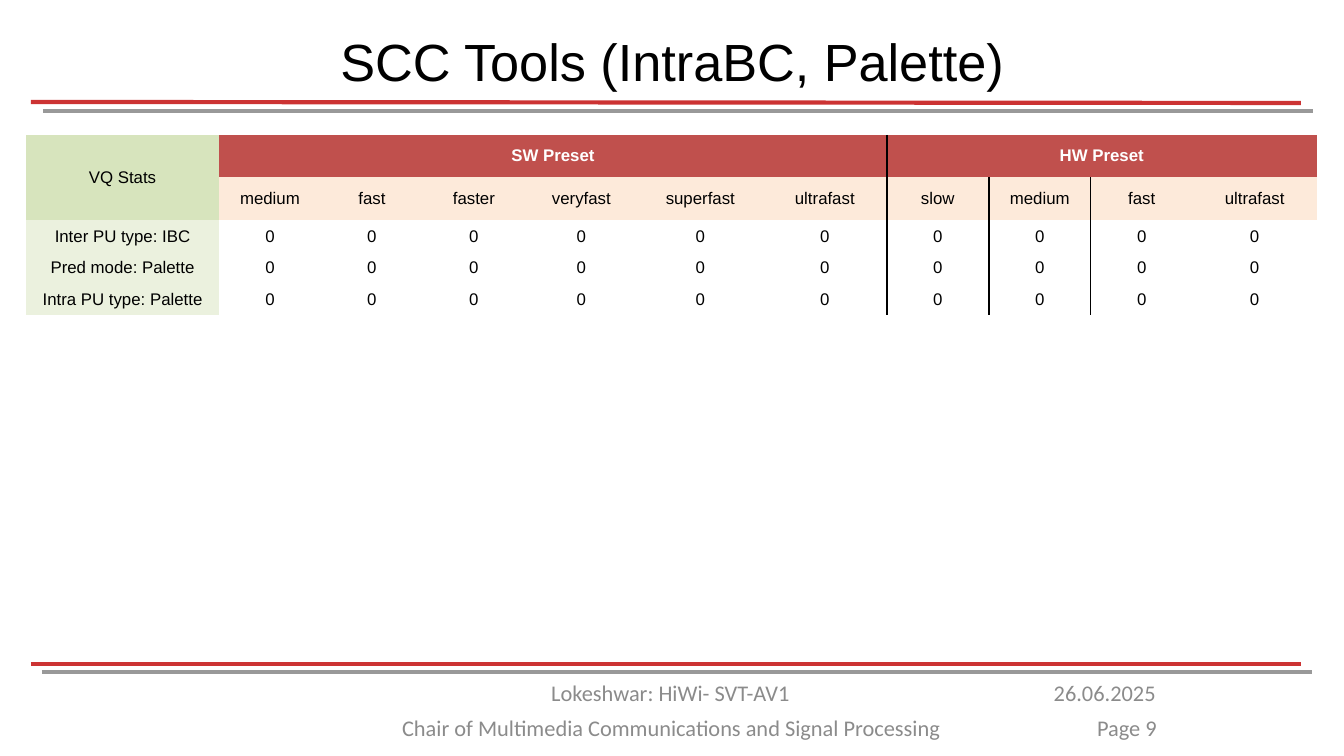
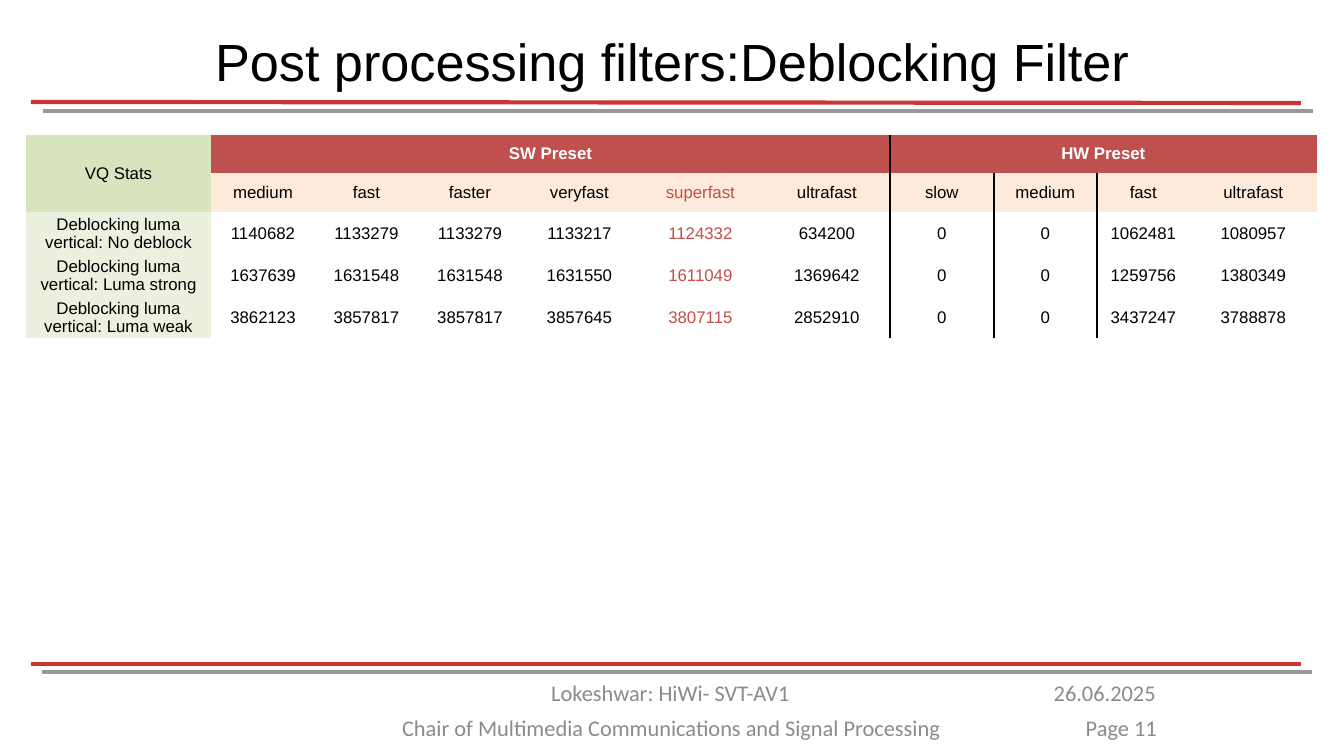
"""Builds two slides of encoder statistics, one preset table on each."""
import pptx
import pptx.dml.color
import pptx.enum.shapes
import pptx.enum.text
import pptx.oxml.ns
import pptx.util
from lxml import etree

COLORS = {
    "red": "CC3333", "gray": "999999", "footer": "8B8B8B", "text": "000000",
    "white": "FFFFFF", "band": "C0504D", "preset": "FDEADA",
    "corner": "D7E4BD", "label": "EBF1DE",
}
SCALE = 914400 / 134.4
PPALIGN = pptx.enum.text.PP_ALIGN
ANCHOR = pptx.enum.text.MSO_ANCHOR
NO_GRID_STYLE = "{2D5ABB26-0587-4C30-8999-92F81FD0307C}"

RULES = [
    ("red", 31, 102, 1301, 103), ("gray", 43, 111, 1313, 111),
    ("red", 31, 664, 1301, 664), ("gray", 42, 672, 1312, 672),
]
FOOTERS = [
    ("Chair of Multimedia Communications and Signal Processing",
     (349, 708, 645, 40), PPALIGN.CENTER),
    ("Lokeshwar: HiWi- SVT-AV1", (348, 673, 645, 40), PPALIGN.CENTER),
    ("26.06.2025", (1032, 673, 137, 40), PPALIGN.RIGHT),
    ("Page {page}", (1011, 708, 159, 40), PPALIGN.RIGHT),
]
TITLE_BOX = (67, 19, 1210, 83)
TABLE_LEFT, TABLE_TOP = 26, 135

CORNER = "VQ Stats"
GROUPS = [
    ("SW Preset", ["medium", "fast", "faster", "veryfast", "superfast", "ultrafast"]),
    ("HW Preset", ["slow", "medium", "fast", "ultrafast"]),
]
PRESETS = [preset for _, presets in GROUPS for preset in presets]
DIVIDERS = [(6, 0), (7, 1)]

SLIDES = [
    {
        "title": "SCC Tools (IntraBC, Palette)",
        "page": 9,
        "columns": [193, 102, 102, 102, 113, 125, 124, 102, 102, 102, 124],
        "heights": [42, 43, 32, 31, 32],
        "header_inset": 11,
        "highlight": None,
        "rows": [
            ("Inter PU type: IBC", [0] * 10),
            ("Pred mode: Palette", [0] * 10),
            ("Intra PU type: Palette", [0] * 10),
        ],
    },
    {
        "title": "Post processing filters:Deblocking Filter",
        "page": 11,
        "columns": [185, 104, 103, 104, 115, 127, 126, 104, 103, 93, 127],
        "heights": [38, 39, 42, 42, 42],
        "header_inset": 9,
        "highlight": "superfast",
        "rows": [
            ("Deblocking luma vertical: No deblock",
             [1140682, 1133279, 1133279, 1133217, 1124332, 634200,
              0, 0, 1062481, 1080957]),
            ("Deblocking luma vertical: Luma strong",
             [1637639, 1631548, 1631548, 1631550, 1611049, 1369642,
              0, 0, 1259756, 1380349]),
            ("Deblocking luma vertical: Luma weak",
             [3862123, 3857817, 3857817, 3857645, 3807115, 2852910,
              0, 0, 3437247, 3788878]),
        ],
    },
]


def px(n):
    return pptx.util.Emu(round(n * SCALE))


def rgb(name):
    return pptx.dml.color.RGBColor.from_string(COLORS[name])


def add_run(p, text, size, font, color, align, bold=False):
    p.alignment = align
    r = p.add_run()
    r.text = text
    r.font.size = pptx.util.Pt(size)
    r.font.name = font
    r.font.bold = bold
    r.font.color.rgb = rgb(color)


def add_text(s, text, box, size, font, color, align, anchor):
    tf = s.shapes.add_textbox(*map(px, box)).text_frame
    tf.word_wrap = True
    tf.vertical_anchor = anchor
    add_run(tf.paragraphs[0], text, size, font, color, align)


def add_rule(s, color, x1, y1, x2, y2):
    line = s.shapes.add_connector(
        pptx.enum.shapes.MSO_CONNECTOR.STRAIGHT, px(x1), px(y1), px(x2), px(y2))
    line.line.color.rgb = rgb(color)
    line.line.width = pptx.util.Pt(2.25)
    etree.SubElement(line.element.spPr, pptx.oxml.ns.qn("a:effectLst"))


def add_border(cell, tag):
    qn = pptx.oxml.ns.qn
    ln = etree.SubElement(cell._tc.get_or_add_tcPr(), qn(tag),
                          w=str(pptx.util.Pt(1)))
    fill = etree.SubElement(ln, qn("a:solidFill"))
    etree.SubElement(fill, qn("a:srgbClr"), val=COLORS["text"])


def style_cell(cell, fill, inset, anchor=ANCHOR.MIDDLE):
    cell.vertical_anchor = anchor
    cell.margin_left = cell.margin_right = cell.margin_top = px(inset)
    cell.margin_bottom = px(inset if inset > 1 else 0)
    if fill:
        cell.fill.solid()
        cell.fill.fore_color.rgb = rgb(fill)
    else:
        cell.fill.background()


def cell_fill(row, col):
    if col == 0:
        return "corner" if row < 2 else "label"
    return {0: "band", 1: "preset"}.get(row)


def table_texts(rows):
    band = []
    for name, presets in GROUPS:
        band += [name] + [""] * (len(presets) - 1)
    body = [[label] + [str(v) for v in values] for label, values in rows]
    return [[CORNER] + band, [""] + PRESETS] + body


def add_table(s, data):
    widths, heights = data["columns"], data["heights"]
    frame = s.shapes.add_table(
        len(heights), len(widths), px(TABLE_LEFT), px(TABLE_TOP),
        px(sum(widths)), px(sum(heights)))
    table = frame.table
    table.first_row = table.horz_banding = False
    for style in frame.element.iter(pptx.oxml.ns.qn("a:tableStyleId")):
        style.text = NO_GRID_STYLE
    for column, width in zip(table.columns, widths):
        column.width = px(width)
    for row, height in zip(table.rows, heights):
        row.height = px(height)

    for i, texts in enumerate(table_texts(data["rows"])):
        for j, text in enumerate(texts):
            cell = table.cell(i, j)
            band = i == 0 and j > 0
            for col, first_row in DIVIDERS:
                if i >= first_row and j == col + 1:
                    add_border(cell, "a:lnL")
            for col, first_row in DIVIDERS:
                if i >= first_row and j == col or band and text == GROUPS[0][0] and col == 6:
                    add_border(cell, "a:lnR")
            style_cell(cell, cell_fill(i, j), data["header_inset"] if i < 2 else 1,
                       ANCHOR.TOP if band else ANCHOR.MIDDLE)
            color = "white" if band else "text"
            if i > 0 and j > 0 and PRESETS[j - 1] == data["highlight"]:
                color = "band"
            if text:
                add_run(cell.text_frame.paragraphs[0], text, 9, "Arial", color,
                        PPALIGN.CENTER, band)

    table.cell(0, 0).merge(table.cell(1, 0))
    start = 1
    for _, presets in GROUPS:
        end = start + len(presets)
        table.cell(0, start).merge(table.cell(0, end - 1))
        start = end


def add_slide(prs, data):
    s = prs.slides.add_slide(prs.slide_layouts[6])
    for rule in RULES:
        add_rule(s, *rule)
    for text, box, align in FOOTERS:
        add_text(s, text.format(page=data["page"]), box, 12, "Calibri",
                 "footer", align, ANCHOR.TOP)
    add_text(s, data["title"], TITLE_BOX, 28, "Arial", "text",
             PPALIGN.CENTER, ANCHOR.MIDDLE)
    add_table(s, data)


def main():
    prs = pptx.Presentation()
    prs.slide_width, prs.slide_height = px(1344), px(756)
    for data in SLIDES:
        add_slide(prs, data)
    prs.save("out.pptx")


if __name__ == "__main__":
    main()
